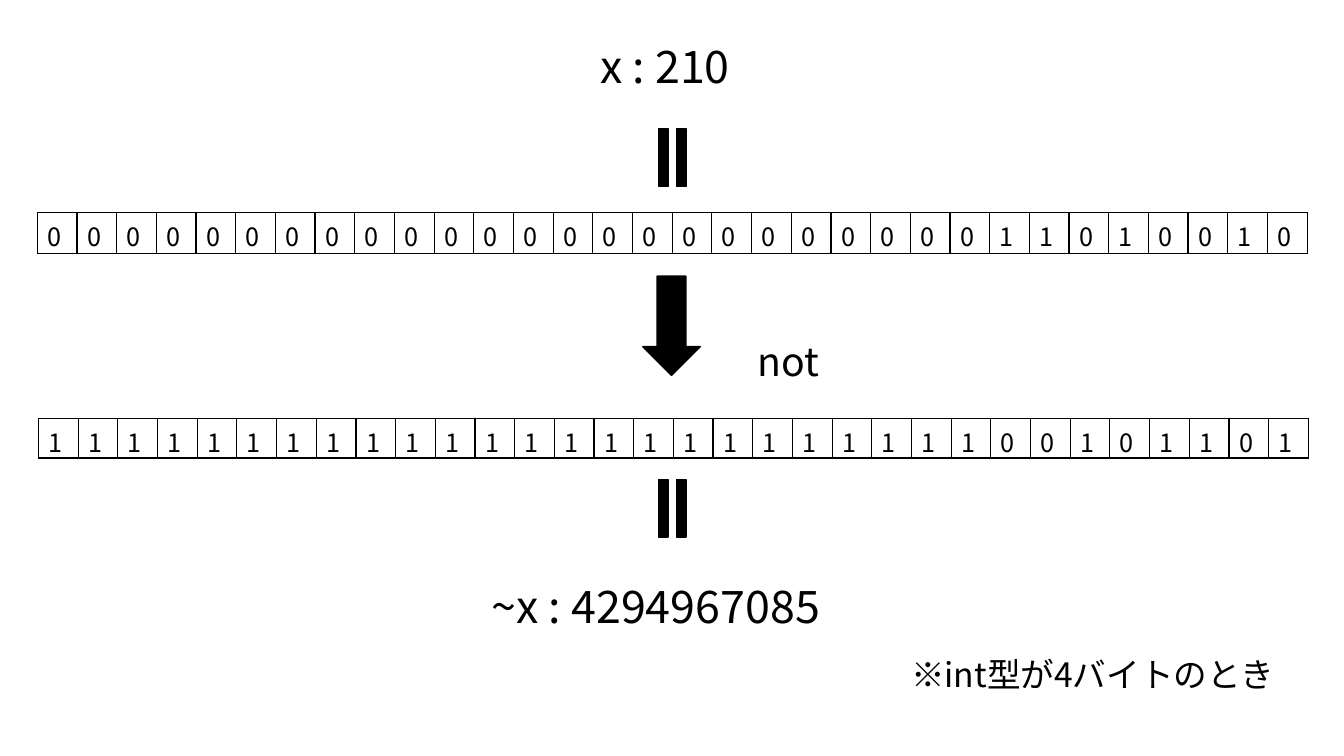
from lxml import etree
from pptx import Presentation
from pptx.dml.color import RGBColor
from pptx.enum.shapes import MSO_SHAPE as Shape
from pptx.enum.text import MSO_AUTO_SIZE as AutoSize
from pptx.oxml.ns import qn
from pptx.util import Cm, Pt

COLORS = {"ink": "000000"}
FONT = "Noto Sans CJK JP"
BITS = 32
X = 210
NOT_X = X ^ (2 ** BITS - 1)


def color(name):
    return RGBColor.from_string(COLORS[name])


def write(tf, text, size=18, ink="ink"):
    p = tf.paragraphs[0]
    r = p.add_run()
    r.text = text
    r.font.size = Pt(size)
    r.font.name = FONT
    r.font.color.rgb = color(ink)
    etree.SubElement(r.font._element, qn("a:ea"), typeface=FONT)


def label(s, text, left, top, width, height, size):
    box = s.shapes.add_textbox(Cm(left), Cm(top), Cm(width), Cm(height))
    tf = box.text_frame
    tf.word_wrap = True
    tf.auto_size = AutoSize.SHAPE_TO_FIT_TEXT
    write(tf, text, size=size)


def symbol(s, kind, left, top, width, height):
    sp = s.shapes.add_shape(kind, Cm(left), Cm(top), Cm(width), Cm(height))
    sp.shadow.inherit = False
    sp.fill.solid()
    sp.fill.fore_color.rgb = color("ink")
    sp.line.color.rgb = color("ink")
    sp.line.width = Pt(1)
    return sp


def upright_equals(s, left, top, width, height):
    sp = symbol(s, Shape.MATH_EQUAL, left, top, width, height)
    sp.rotation = 90
    sp.adjustments[0] = 0.132
    sp.adjustments[1] = 0.118


def border(cell):
    """Draw a thin line on all four sides of a cell."""
    tc_pr = cell._tc.get_or_add_tcPr()
    for i, side in enumerate(("a:lnL", "a:lnR", "a:lnT", "a:lnB")):
        ln = etree.Element(qn(side), w=str(Pt(1)))
        fill = etree.SubElement(ln, qn("a:solidFill"))
        etree.SubElement(fill, qn("a:srgbClr"), val=COLORS["ink"])
        tc_pr.insert(i, ln)


def bit_row(s, value, left, top, cell_size=1, bottom=0.13):
    """Show a value as a one-row table of binary digits."""
    frame = s.shapes.add_table(1, BITS, Cm(left), Cm(top),
                               Cm(cell_size * BITS), Cm(cell_size))
    table = frame.table
    table.first_row = table.horz_banding = False
    for cell, bit in zip(table.rows[0].cells, f"{value:0{BITS}b}"):
        cell.fill.background()
        cell.margin_bottom = Cm(bottom)
        border(cell)
        write(cell.text_frame, bit)


def source_value(s, top):
    label(s, f"x : {X}", 14.88, top, 4.8, 1.62, 32)
    upright_equals(s, 15.95, top + 2.23, 1.98, 1.8)
    bit_row(s, X, 0.94, top + 4.52)


def not_step(s, top):
    symbol(s, Shape.DOWN_ARROW, 16.2, top, 1.45, 2.5)
    label(s, "not", 18.85, top + 1.42, 2.49, 1.45, 28)


def inverted_value(s, top):
    bit_row(s, NOT_X, 0.97, top, bottom=0)
    upright_equals(s, 15.95, top + 1.37, 1.98, 1.8)
    label(s, f"~x : {NOT_X}", 12.14, top + 3.91, 9.58, 1.62, 32)


def main():
    prs = Presentation()
    prs.slide_width, prs.slide_height = Cm(33.87), Cm(19.05)
    s = prs.slides.add_slide(prs.slide_layouts[6])
    source_value(s, 0.84)
    not_step(s, 6.96)
    inverted_value(s, 10.54)
    label(s, "※int型が4バイトのとき", 22.71, 16.36, 10.01, 1.27, 24)
    prs.save("out.pptx")


if __name__ == "__main__":
    main()
